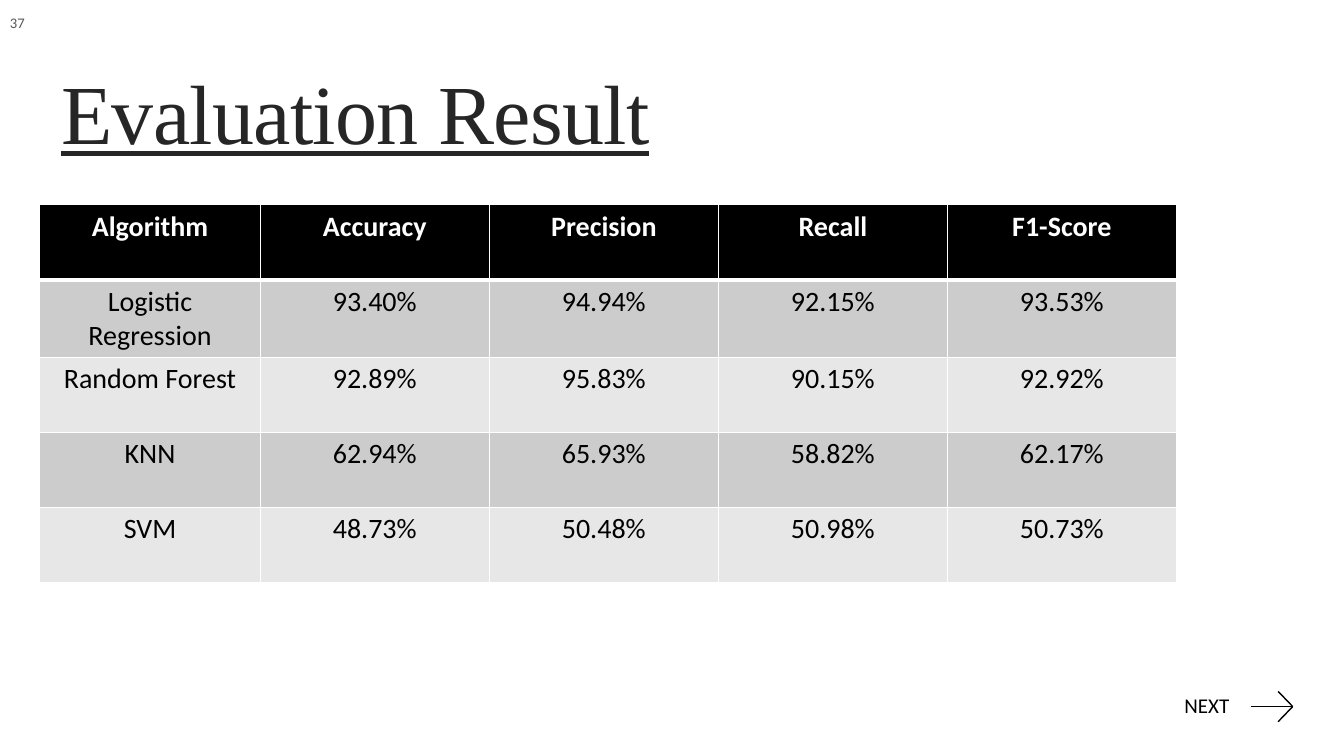
from dataclasses import dataclass

from lxml import etree
from pptx import Presentation
from pptx.dml.color import RGBColor
from pptx.enum import shapes, text
from pptx.oxml import ns
from pptx.util import Pt

COLORS = {
    "black": "000000",
    "white": "FFFFFF",
    "title": "262626",
    "number": "595959",
    "odd_row": "CCCCCC",
    "even_row": "E7E7E7",
}


@dataclass(frozen=True)
class Style:
    size: float
    color: str
    font: str = "Calibri"
    bold: bool = False
    underline: bool = False
    tracking: int = 0


@dataclass(frozen=True)
class Label:
    wording: str
    left: float
    top: float
    width: float
    height: float
    style: Style
    inset: float = 7.2
    anchor: text.MSO_ANCHOR = text.MSO_ANCHOR.TOP
    line_spacing: float = 1.0
    space_before: float = 0


@dataclass(frozen=True)
class Stroke:
    x1: float
    y1: float
    x2: float
    y2: float


LABELS = [
    Label("NEXT", 843.1, 493.2, 59.8, 23.8, Style(15, "black"),
          inset=2.9, line_spacing=0.9, space_before=6),
    Label("37", 0, 0, 84.2, 31.7, Style(10.5, "number"),
          anchor=text.MSO_ANCHOR.MIDDLE),
    Label("Evaluation Result", 36.7, 39.6, 589, 79.9,
          Style(60, "title", "Times New Roman", underline=True, tracking=-50)),
]

ARROW_STROKES = [
    Stroke(893.5, 504.7, 923.6, 504.7),
    Stroke(913, 493.9, 923.4, 504.7),
    Stroke(913, 515.5, 923.4, 504.7),
]

HEADER_STYLE = Style(20, "white", bold=True)
BODY_STYLE = Style(20, "black")
COLUMN_WIDTHS = [157.6] + [163.6] * 4
ROW_HEIGHT = 53.6
RESULTS = [
    ("Algorithm", "Accuracy", "Precision", "Recall", "F1-Score"),
    ("Logistic Regression", "93.40%", "94.94%", "92.15%", "93.53%"),
    ("Random Forest", "92.89%", "95.83%", "90.15%", "92.92%"),
    ("KNN", "62.94%", "65.93%", "58.82%", "62.17%"),
    ("SVM", "48.73%", "50.48%", "50.98%", "50.73%"),
]


def rgb(name: str) -> RGBColor:
    return RGBColor.from_string(COLORS[name])


def add_run(paragraph, wording: str, style: Style) -> None:
    run = paragraph.add_run()
    run.text = wording
    run.font.name = style.font
    run.font.size = Pt(style.size)
    run.font.bold = style.bold
    run.font.underline = style.underline
    run.font.color.rgb = rgb(style.color)
    if style.tracking:
        run.font._element.set("spc", str(style.tracking))


def draw_label(slide, label: Label) -> None:
    box = slide.shapes.add_textbox(
        Pt(label.left), Pt(label.top), Pt(label.width), Pt(label.height))
    frame = box.text_frame
    frame.word_wrap = True
    frame.vertical_anchor = label.anchor
    frame.margin_left = frame.margin_right = Pt(label.inset)
    paragraph = frame.paragraphs[0]
    paragraph.line_spacing = label.line_spacing
    paragraph.space_before = Pt(label.space_before)
    add_run(paragraph, label.wording, label.style)


def draw_stroke(slide, stroke: Stroke) -> None:
    line = slide.shapes.add_connector(
        shapes.MSO_CONNECTOR.STRAIGHT,
        Pt(stroke.x1), Pt(stroke.y1), Pt(stroke.x2), Pt(stroke.y2))
    line.line.color.rgb = rgb("black")
    line.line.width = Pt(1)
    etree.SubElement(line._element.spPr, ns.qn("a:effectLst"))


def add_border(cell, side: str, width: float) -> None:
    properties = cell._tc.get_or_add_tcPr()
    border = etree.SubElement(
        properties, ns.qn(f"a:ln{side}"), w=str(Pt(width)))
    fill = etree.SubElement(border, ns.qn("a:solidFill"))
    etree.SubElement(fill, ns.qn("a:srgbClr"), val=COLORS["white"])


def draw_results(slide) -> None:
    table = slide.shapes.add_table(
        len(RESULTS), len(COLUMN_WIDTHS), Pt(28.4), Pt(146.3),
        Pt(sum(COLUMN_WIDTHS)), Pt(ROW_HEIGHT * len(RESULTS))).table
    for column, width in zip(table.columns, COLUMN_WIDTHS):
        column.width = Pt(width)
    for row_index, values in enumerate(RESULTS):
        table.rows[row_index].height = Pt(ROW_HEIGHT)
        is_header = row_index == 0
        band = "odd_row" if row_index % 2 else "even_row"
        borders = {"L": 1, "R": 1, "T": 3 if row_index == 1 else 1,
                   "B": 3 if is_header else 1}
        for column_index, value in enumerate(values):
            cell = table.cell(row_index, column_index)
            for side, width in borders.items():
                add_border(cell, side, width)
            cell.fill.solid()
            cell.fill.fore_color.rgb = rgb("black" if is_header else band)
            paragraph = cell.text_frame.paragraphs[0]
            paragraph.alignment = text.PP_ALIGN.CENTER
            add_run(paragraph, value, HEADER_STYLE if is_header else BODY_STYLE)


def main() -> None:
    deck = Presentation()
    deck.slide_width, deck.slide_height = Pt(960), Pt(540)
    slide = deck.slides.add_slide(deck.slide_layouts[6])
    for stroke in ARROW_STROKES:
        draw_stroke(slide, stroke)
    for label in LABELS:
        draw_label(slide, label)
    draw_results(slide)
    deck.save("out.pptx")


if __name__ == "__main__":
    main()
